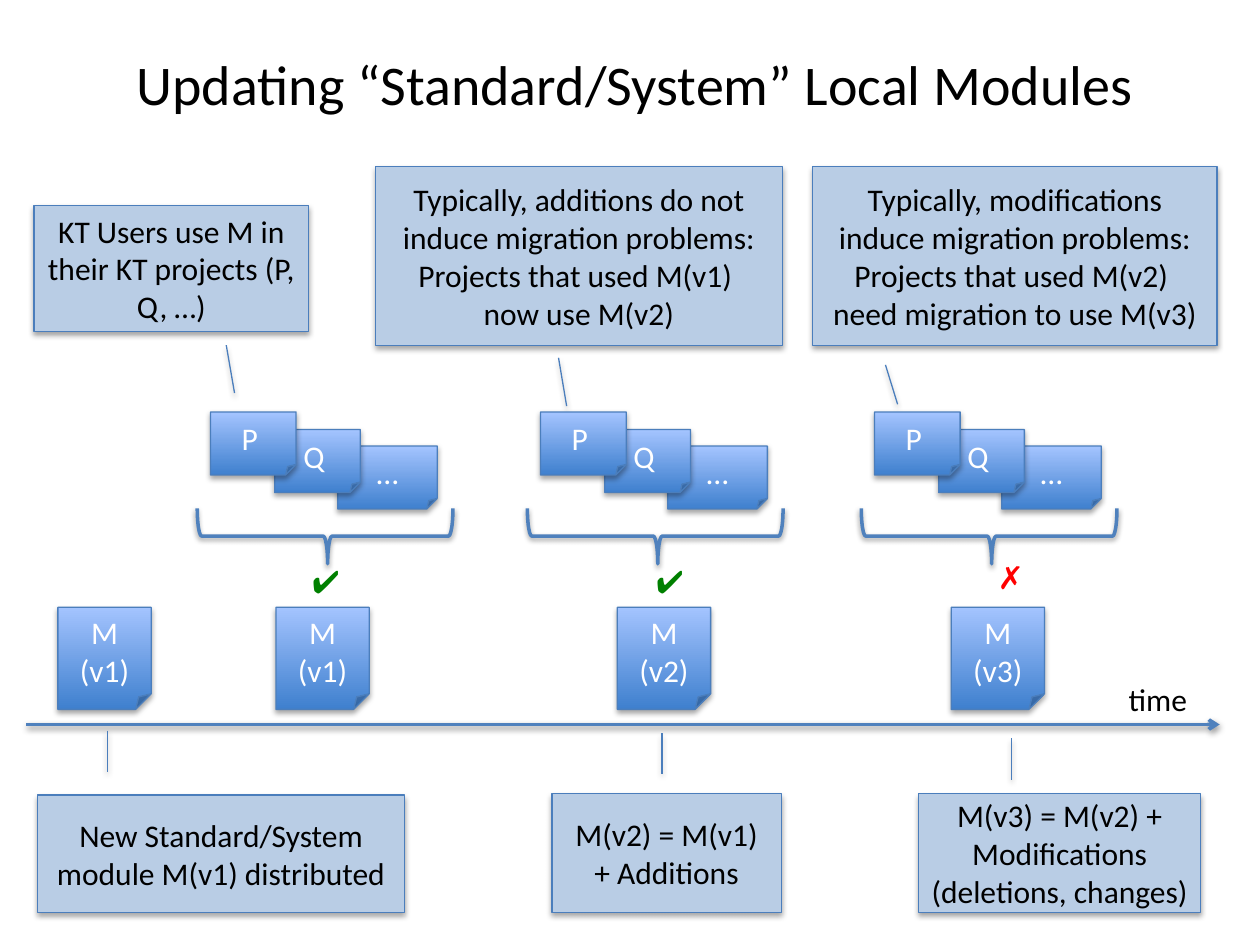
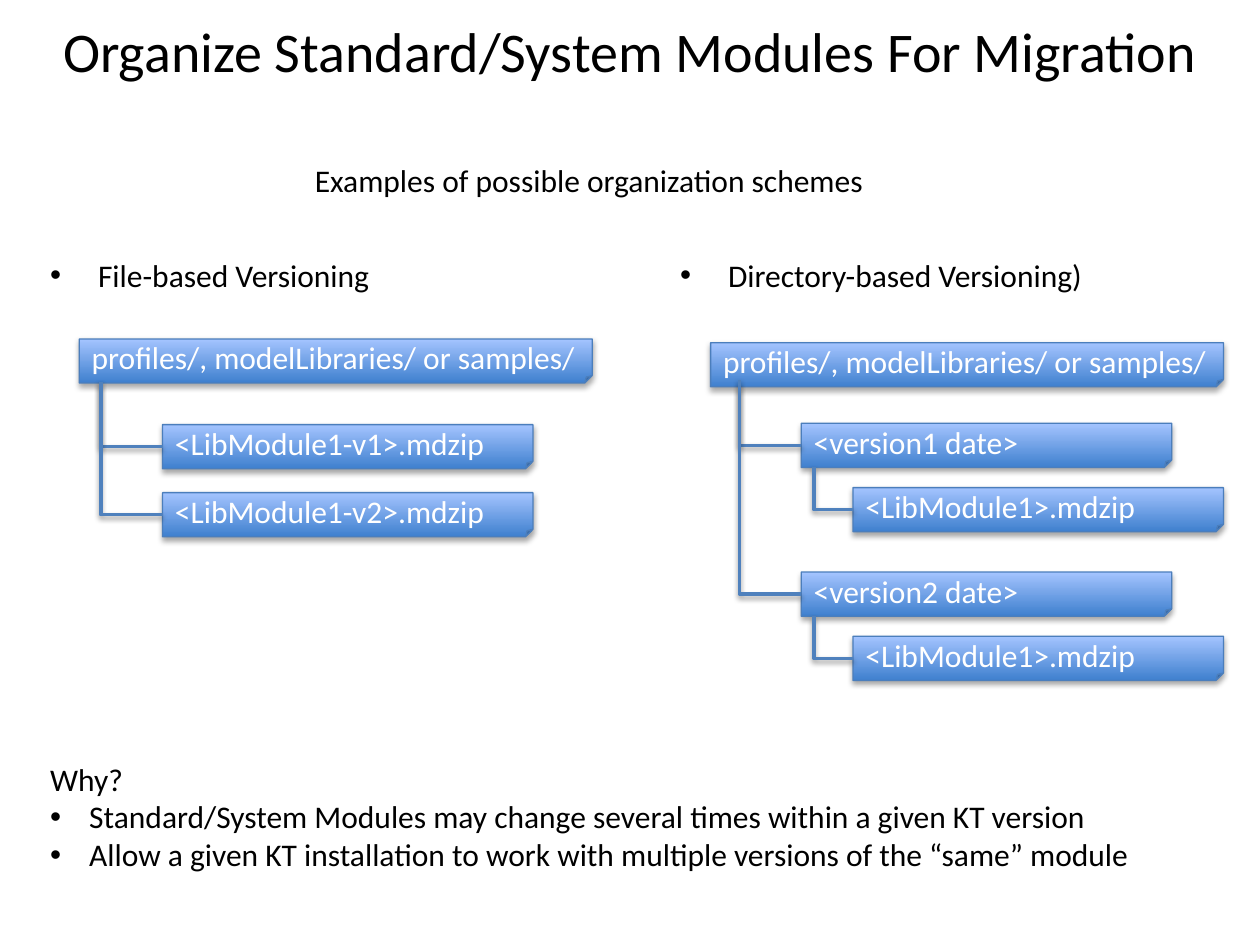
from dataclasses import dataclass
from typing import Optional

from lxml import etree
from pptx import Presentation
from pptx.dml.color import RGBColor
from pptx.enum.shapes import MSO_CONNECTOR, MSO_SHAPE
from pptx.enum.text import MSO_ANCHOR, MSO_AUTO_SIZE, PP_ALIGN
from pptx.oxml.ns import qn
from pptx.util import Emu, Pt

EMU_PER_PX = 9144
BLACK = RGBColor(0x00, 0x00, 0x00)
WHITE = RGBColor(0xFF, 0xFF, 0xFF)
PALE_BLUE = RGBColor(0xB9, 0xCD, 0xE5)
EDGE_BLUE = RGBColor(0x4B, 0x7E, 0xBC)
LINE_BLUE = RGBColor(0x4F, 0x81, 0xBD)
CARD_BOTTOM = RGBColor(0x3F, 0x80, 0xCE)
CARD_TOP = RGBColor(0xA4, 0xC4, 0xFF)
GREEN = RGBColor(0x00, 0x80, 0x00)
RED = RGBColor(0xFF, 0x00, 0x00)
BODY_FONT = "Calibri"
SYMBOL_FONT = "Arial"
BODY_SIZE = 18
TITLE_SIZE = 32
ROW_HEIGHT = 35


@dataclass(frozen=True)
class Box:
    left: int
    top: int
    width: int
    height: int


@dataclass(frozen=True)
class Callout:
    box: Box
    pointer: tuple[float, float, float, float]
    lines: tuple[str, ...]


@dataclass(frozen=True)
class Module:
    left: int
    version: str


@dataclass(frozen=True)
class Mark:
    box: Box
    symbol: str
    color: RGBColor


@dataclass(frozen=True)
class Node:
    label: str
    left: int
    top: int
    width: int = 294
    stem: Optional[tuple[int, int]] = None


@dataclass(frozen=True)
class Label:
    box: Box
    lines: tuple[str, ...]
    bullet_indent: int = 0
    first_bullet: int = 0


CALLOUTS = (
    Callout(Box(30, 631, 291, 93), (-0.55, 0.19, -0.2, 0.19),
            ("New Standard/System module M(v1) distributed",)),
    Callout(Box(27, 163, 218, 100), (1.11, 0.7, 1.49, 0.73),
            ("KT Users use M in their KT projects (P, Q, …)",)),
    Callout(Box(298, 132, 323, 142), (1.07, 0.45, 1.34, 0.47),
            ("Typically, additions do not induce migration problems:",
             "Projects that used M(v1) ", "now use M(v2)")),
    Callout(Box(645, 132, 321, 142), (1.11, 0.18, 1.33, 0.21),
            ("Typically, modifications induce migration problems:",
             "Projects that used M(v2) ", "need migration to use M(v3)")),
    Callout(Box(438, 630, 182, 94), (-0.17, 0.48, -0.51, 0.48),
            ("M(v2) = M(v1) + Additions",)),
    Callout(Box(729, 630, 224, 94), (-0.12, 0.33, -0.47, 0.33),
            ("M(v3) = M(v2) +", "Modifications", "(deletions, changes)")),
)
MODULES = (Module(46, "(v1)"), Module(219, "(v1)"),
           Module(490, "(v2)"), Module(755, "(v3)"))
PROJECT_GROUP_LEFTS = (167, 429, 694)
PROJECT_CARDS = (
    ("…", Box(101, 354, 79, 50)),
    ("Q ", Box(51, 341, 68, 50)),
    ("P ", Box(0, 327, 68, 50)),
)
MARKS = (
    Mark(Box(238, 441, 43, 40), "✔", GREEN),
    Mark(Box(511, 441, 43, 40), "✔", GREEN),
    Mark(Box(782, 438, 37, 40), "✗", RED),
)
ROOT_LABEL = "profiles/, modelLibraries/ or samples/"
NODES = (
    Node(ROOT_LABEL, 63, 269, 407),
    Node("<LibModule1-v1>.mdzip", 129, 337, stem=(80, 303)),
    Node("<LibModule1-v2>.mdzip", 129, 391, stem=(80, 303)),
    Node(ROOT_LABEL, 564, 272, 407),
    Node("<version1 date>", 636, 336, stem=(587, 302)),
    Node("<LibModule1>.mdzip", 677, 387, stem=(646, 371)),
    Node("<version2 date>", 636, 454, stem=(587, 307)),
    Node("<LibModule1>.mdzip", 677, 505, stem=(646, 489)),
)
LABELS = (
    Label(Box(240, 123, 462, 40), ("Examples of possible organization schemes",)),
    Label(Box(30, 198, 275, 40), ("File-based Versioning",), 38),
    Label(Box(530, 198, 343, 40), ("Directory-based Versioning)",), 38),
    Label(Box(30, 598, 898, 101),
          ("Why?",
           "Standard/System Modules may change several times within a given KT version",
           "Allow a given KT installation to work with multiple versions of the “same” module"),
          31, 1),
)


def px(length: int) -> Emu:
    return Emu(length * EMU_PER_PX)


def frame(box: Box) -> tuple[Emu, Emu, Emu, Emu]:
    return px(box.left), px(box.top), px(box.width), px(box.height)


def add_shadow(shape, distance: int, opacity: int) -> None:
    properties = shape.element.spPr
    effects = properties.find(qn("a:effectLst"))
    if effects is None:
        effects = etree.SubElement(properties, qn("a:effectLst"))
    shadow = etree.SubElement(effects, qn("a:outerShdw"), blurRad="40000",
                              dist=str(distance), dir="5400000", rotWithShape="0")
    color = etree.SubElement(shadow, qn("a:srgbClr"), val="000000")
    etree.SubElement(color, qn("a:alpha"), val=str(opacity * 1000))


def style_stroke(shape) -> None:
    shape.line.color.rgb = LINE_BLUE
    shape.line.width = Pt(2)
    add_shadow(shape, 20000, 38)


def write_lines(text_frame, lines: tuple[str, ...], color: RGBColor = BLACK,
                alignment: PP_ALIGN = PP_ALIGN.LEFT, font: str = BODY_FONT,
                size: int = BODY_SIZE) -> None:
    for index, line in enumerate(lines):
        paragraph = text_frame.add_paragraph() if index else text_frame.paragraphs[0]
        paragraph.alignment = alignment
        run = paragraph.add_run()
        run.text = line
        run.font.name = font
        run.font.size = Pt(size)
        run.font.color.rgb = color


def add_bullet(paragraph, indent: int) -> None:
    properties = paragraph._p.get_or_add_pPr()
    properties.set("marL", str(px(indent)))
    properties.set("indent", str(-px(indent)))
    etree.SubElement(properties, qn("a:buFont"), typeface=SYMBOL_FONT)
    etree.SubElement(properties, qn("a:buChar"), char="•")


def add_title(slide, box: Box, title: str) -> None:
    text_frame = slide.shapes.add_textbox(*frame(box)).text_frame
    text_frame.word_wrap = True
    text_frame.vertical_anchor = MSO_ANCHOR.MIDDLE
    write_lines(text_frame, (title,), alignment=PP_ALIGN.CENTER, size=TITLE_SIZE)


def add_text(slide, box: Box, lines: tuple[str, ...], color: RGBColor = BLACK,
             font: str = BODY_FONT):
    text_frame = slide.shapes.add_textbox(*frame(box)).text_frame
    text_frame.word_wrap = False
    text_frame.auto_size = MSO_AUTO_SIZE.SHAPE_TO_FIT_TEXT
    write_lines(text_frame, lines, color, font=font)
    return text_frame


def add_panel(slide, kind: MSO_SHAPE, box: Box, lines: tuple[str, ...],
              color: RGBColor, alignment: PP_ALIGN):
    shape = slide.shapes.add_shape(kind, *frame(box))
    shape.shadow.inherit = False
    add_shadow(shape, 23000, 35)
    shape.line.color.rgb = EDGE_BLUE
    shape.line.width = Pt(0.75)
    shape.text_frame.word_wrap = True
    shape.text_frame.vertical_anchor = MSO_ANCHOR.MIDDLE
    write_lines(shape.text_frame, lines, color, alignment)
    return shape


def add_callout(slide, callout: Callout) -> None:
    shape = add_panel(slide, MSO_SHAPE.LINE_CALLOUT_1, callout.box, callout.lines,
                      BLACK, PP_ALIGN.CENTER)
    shape.fill.solid()
    shape.fill.fore_color.rgb = PALE_BLUE
    for index, value in enumerate(callout.pointer):
        shape.adjustments[index] = value


def add_card(slide, box: Box, lines: tuple[str, ...],
             alignment: PP_ALIGN = PP_ALIGN.CENTER):
    card = add_panel(slide, MSO_SHAPE.FOLDED_CORNER, box, lines, WHITE, alignment)
    card.fill.gradient()
    card.fill.gradient_angle = 90
    for stop, color in zip(card.fill.gradient_stops, (CARD_BOTTOM, CARD_TOP)):
        stop.color.rgb = color
    return card


def add_project_group(slide, left: int) -> None:
    brace = slide.shapes.add_shape(MSO_SHAPE.RIGHT_BRACE,
                                   *frame(Box(left + 69, 324, 44, 203)))
    brace.rotation = 90
    brace.adjustments[0] = 0.08
    brace.adjustments[1] = 0.49
    brace.fill.background()
    brace.shadow.inherit = False
    style_stroke(brace)
    for label, box in PROJECT_CARDS:
        add_card(slide, Box(left + box.left, box.top, box.width, box.height), (label,))


def add_timeline(slide) -> None:
    timeline = slide.shapes.add_connector(MSO_CONNECTOR.STRAIGHT,
                                          px(21), px(575), px(968), px(575))
    style_stroke(timeline)
    etree.SubElement(timeline.line._get_or_add_ln(), qn("a:tailEnd"), type="arrow")


def add_branch(slide, stem: tuple[int, int], card) -> None:
    left, top = px(stem[0]), px(stem[1])
    right, bottom = card.left, card.top + card.height // 2
    branch = slide.shapes.add_connector(MSO_CONNECTOR.ELBOW, left, top, right, bottom)
    branch.end_connect(card, 1)
    run, drop = right - left, bottom - top
    branch.left = Emu((left + right - drop) // 2)
    branch.top = Emu((top + bottom - run) // 2)
    branch.width, branch.height = Emu(drop), Emu(run)
    properties = branch.element.spPr
    transform = properties.find(qn("a:xfrm"))
    transform.set("rot", "16200000")
    transform.set("flipH", "1")
    properties.find(qn("a:prstGeom")).set("prst", "bentConnector2")
    style_stroke(branch)


def build_update_slide(slide) -> None:
    add_title(slide, Box(21, 30, 966, 72), "Updating “Standard/System” Local Modules")
    add_timeline(slide)
    for callout in CALLOUTS:
        add_callout(slide, callout)
    for left in PROJECT_GROUP_LEFTS:
        add_project_group(slide, left)
    for module in MODULES:
        add_card(slide, Box(module.left, 482, 74, 81), ("M", module.version))
    add_text(slide, Box(886, 535, 67, 40), ("time",))
    for mark in MARKS:
        add_text(slide, mark.box, (mark.symbol,), mark.color, SYMBOL_FONT)


def build_organization_slide(slide) -> None:
    add_title(slide, Box(0, 0, 1000, 80), "Organize Standard/System Modules For Migration")
    for label in LABELS:
        text_frame = add_text(slide, label.box, label.lines)
        if label.bullet_indent:
            for paragraph in text_frame.paragraphs[label.first_bullet:]:
                add_bullet(paragraph, label.bullet_indent)
    for node in NODES:
        card = add_card(slide, Box(node.left, node.top, node.width, ROW_HEIGHT),
                        (node.label,), PP_ALIGN.LEFT)
        if node.stem:
            add_branch(slide, node.stem, card)


def main() -> None:
    presentation = Presentation()
    presentation.slide_width = px(1000)
    presentation.slide_height = px(750)
    blank_layout = presentation.slide_layouts[6]
    for build in (build_update_slide, build_organization_slide):
        build(presentation.slides.add_slide(blank_layout))
    presentation.save("out.pptx")


if __name__ == "__main__":
    main()
